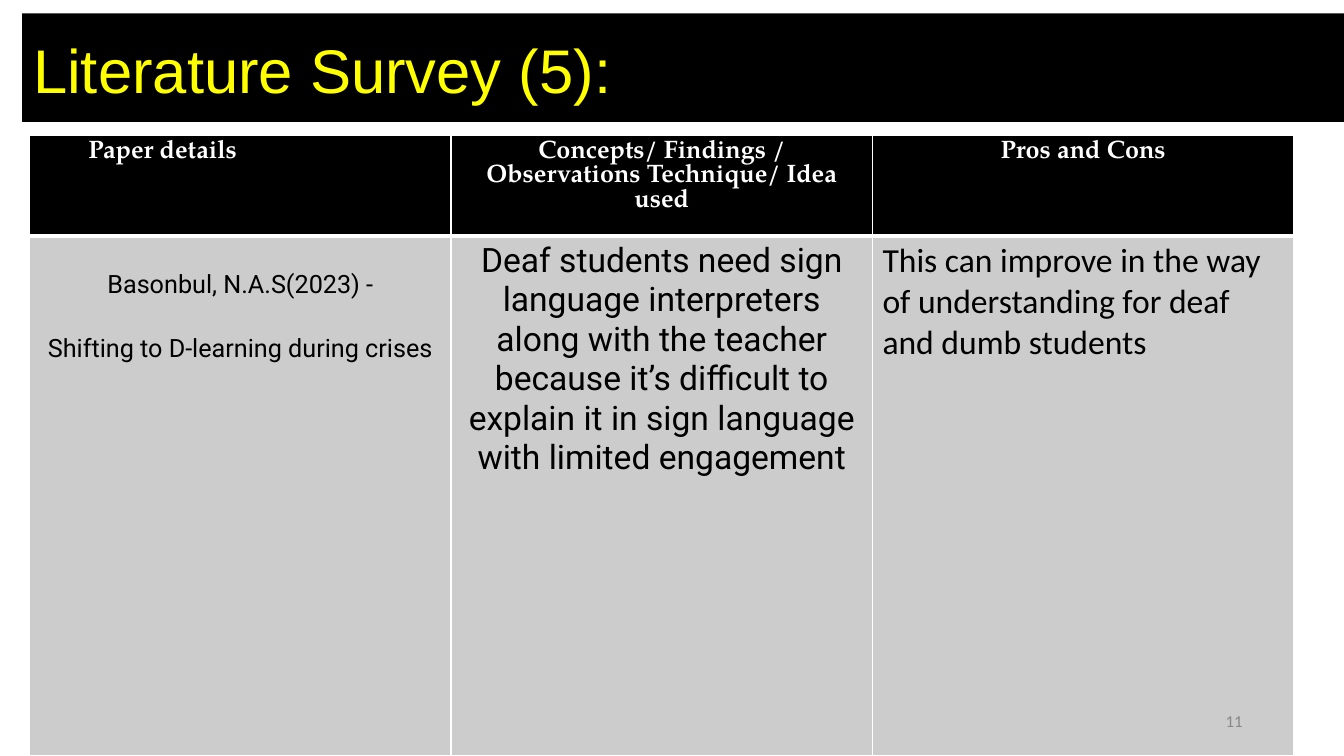
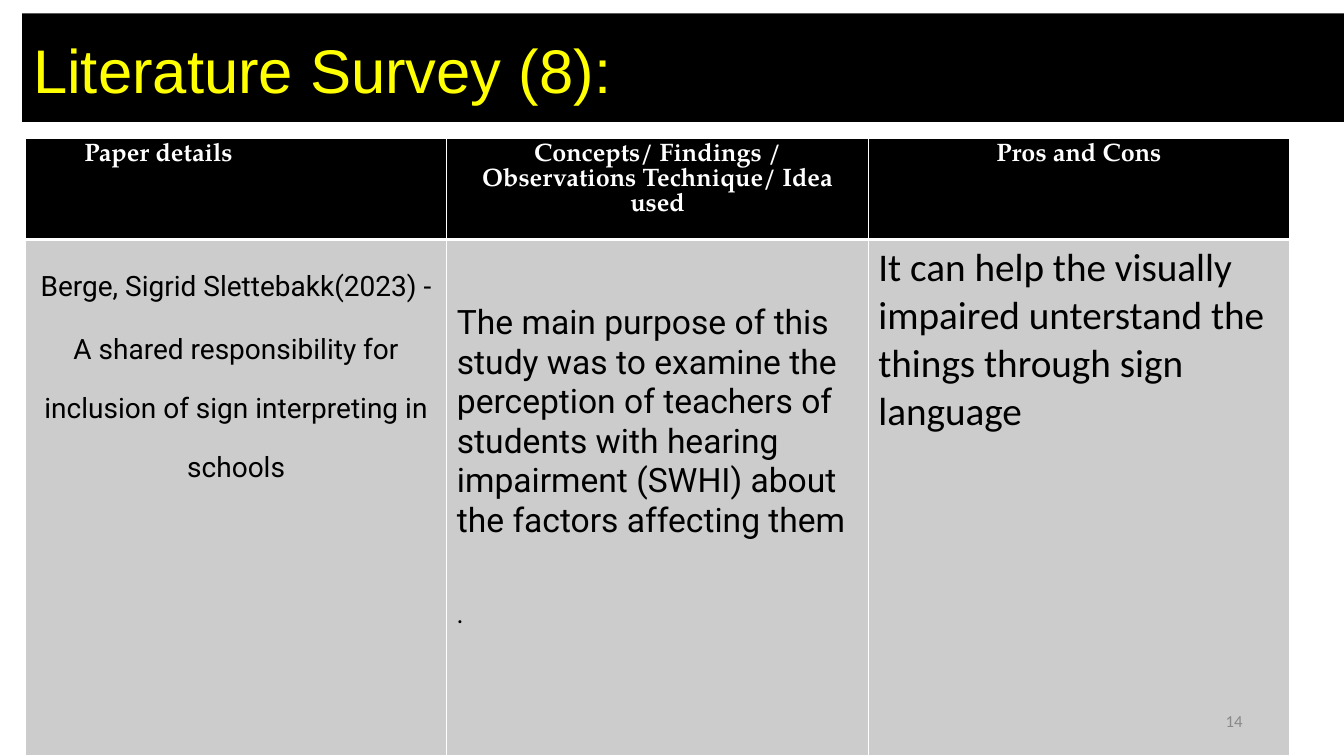
from dataclasses import dataclass
from typing import Optional

from lxml import etree
from pptx import Presentation
from pptx import util as u
from pptx.dml import color
from pptx.enum import shapes, text
from pptx.oxml import ns

Pt = u.Pt
LEFT, CENTER = text.PP_ALIGN.LEFT, text.PP_ALIGN.CENTER


# Theme: colours, fonts and type sizes
@dataclass(frozen=True)
class Theme:
    black: str = "000000"
    white: str = "FFFFFF"
    yellow: str = "FFFF00"
    cell_grey: str = "CCCCCC"
    number_grey: str = "888888"
    title_font: str = "Arial"
    header_font: str = "TeX Gyre Pagella"
    paper_font: str = "Roboto"
    note_font: str = "Calibri"
    title: float = 44
    large: float = 28
    medium: float = 24
    detail: float = 20
    small: float = 18
    number: float = 12


THEME = Theme()
PAGE_WIDTH, PAGE_HEIGHT = 960, 540
COLUMN_WIDTH, HEADER_HEIGHT = 301, 72
CELL_TOP, CELL_SIDE = 3.6, 7.2
THIN, THICK = 1, 3


@dataclass(frozen=True)
class Line:
    words: str
    size: float
    font: str
    align: text.PP_ALIGN = LEFT
    ink: str = THEME.black
    bold: bool = False
    pitch: Optional[float] = None
    before: float = 0


@dataclass(frozen=True)
class Entry:
    lines: tuple[Line, ...]
    top: float = CELL_TOP
    side: float = CELL_SIDE


@dataclass(frozen=True)
class Survey:
    index: int
    page_number: int
    left: float
    top: float
    entries: tuple[Entry, ...]


def header(words: str, align: text.PP_ALIGN = CENTER, side: float = CELL_SIDE) -> Entry:
    return Entry((Line(words, THEME.small, THEME.header_font, align, THEME.white, True),),
                 side=side)


def paper(size: float, *lines: str) -> Entry:
    return Entry(tuple(Line(words, size, THEME.paper_font, CENTER, pitch=42, before=3.4)
                       for words in lines))


def note(words: str, size: float) -> Entry:
    return Entry((Line(words, size, THEME.note_font),))


# Content
HEADERS = (
    header("Paper details", LEFT, 42),
    header("Concepts/ Findings / Observations Technique/ Idea used"),
    header("Pros and Cons"),
)

SURVEYS = (
    Survey(5, 11, 21.2, 96.5, (
        paper(THEME.small, "Basonbul, N.A.S(2023) -", "Shifting to D-learning during crises"),
        Entry((
            Line("Deaf students need sign language interpreters along with the teacher "
                 "because it’s difficult to", THEME.medium, THEME.paper_font, CENTER),
            Line("explain it in sign language with limited engagement",
                 THEME.medium, THEME.paper_font, CENTER),
        )),
        note("This can improve in the way of understanding for deaf and dumb students",
             THEME.medium),
    )),
    Survey(8, 14, 18.2, 99, (
        paper(THEME.detail, "Berge, Sigrid Slettebakk(2023) -",
              "A shared responsibility for inclusion of sign interpreting in schools"),
        Entry((
            Line("The main purpose of this study was to examine the perception of teachers "
                 "of students with hearing impairment (SWHI) about the factors affecting them",
                 THEME.medium, THEME.paper_font),
            Line(".", THEME.small, THEME.note_font, before=42.2),
        ), top=45.8),
        note("It can help the visually impaired unterstand the things through sign language",
             THEME.large),
    )),
)


# Drawing helpers
def rgb(value: str) -> color.RGBColor:
    return color.RGBColor.from_string(value)


def write_lines(frame, lines: tuple[Line, ...]) -> None:
    frame.text = "\n".join(line.words for line in lines)
    for para, line in zip(frame.paragraphs, lines):
        para.alignment = line.align
        para.space_before = Pt(line.before)
        if line.pitch:
            para.line_spacing = Pt(line.pitch)
        for span in para.runs:
            span.font.name = line.font
            span.font.size = Pt(line.size)
            span.font.bold = line.bold
            span.font.color.rgb = rgb(line.ink)


def set_margins(target, left: float, top: float, right: float, bottom: float) -> None:
    target.margin_left, target.margin_top = Pt(left), Pt(top)
    target.margin_right, target.margin_bottom = Pt(right), Pt(bottom)


def add_borders(cell, top: float, bottom: float) -> None:
    properties = cell._tc.get_or_add_tcPr()
    widths = {"a:lnL": THIN, "a:lnR": THIN, "a:lnT": top, "a:lnB": bottom}
    for position, (tag, width) in enumerate(widths.items()):
        border = etree.Element(ns.qn(tag), w=str(int(Pt(width))))
        fill = etree.SubElement(border, ns.qn("a:solidFill"))
        etree.SubElement(fill, ns.qn("a:srgbClr"), val=THEME.white)
        properties.insert(position, border)


def add_title(page, words: str) -> None:
    # Black band, placed behind the title
    band = page.shapes.add_shape(shapes.MSO_SHAPE.RECTANGLE,
                                 Pt(15.8), Pt(9.6), Pt(PAGE_WIDTH - 15.8), Pt(77.4))
    band.shadow.inherit = False
    band.fill.solid()
    band.fill.fore_color.rgb = rgb(THEME.black)
    band.line.fill.background()
    title = page.shapes.title
    title.element.addprevious(band.element)

    title.left, title.top, title.width, title.height = Pt(23.6), Pt(21), Pt(869), Pt(55)
    frame = title.text_frame
    frame.word_wrap = True
    frame.auto_size = text.MSO_AUTO_SIZE.NONE
    frame.vertical_anchor = text.MSO_ANCHOR.MIDDLE
    set_margins(frame, 0, 1.4, 0, 0)
    write_lines(frame, (Line(words, THEME.title, THEME.title_font,
                             ink=THEME.yellow, before=1.3),))


def add_survey_table(page, survey: Survey) -> None:
    rows = (HEADERS, survey.entries)
    heights = (HEADER_HEIGHT, PAGE_HEIGHT - survey.top - HEADER_HEIGHT)
    fills = (THEME.black, THEME.cell_grey)
    edges = ((THIN, THICK), (THICK, THIN))
    columns = len(HEADERS)
    table = page.shapes.add_table(len(rows), columns, Pt(survey.left), Pt(survey.top),
                                  Pt(COLUMN_WIDTH * columns), Pt(sum(heights))).table
    table.horz_banding = False
    for column in table.columns:
        column.width = Pt(COLUMN_WIDTH)
    for row, entries in enumerate(rows):
        table.rows[row].height = Pt(heights[row])
        for column, entry in enumerate(entries):
            cell = table.cell(row, column)
            cell.fill.solid()
            cell.fill.fore_color.rgb = rgb(fills[row])
            add_borders(cell, *edges[row])
            set_margins(cell, entry.side, entry.top, CELL_SIDE, CELL_TOP)
            write_lines(cell.text_frame, entry.lines)


def add_page_number(page, number: int) -> None:
    box = page.shapes.add_textbox(Pt(872.6), Pt(509.8), Pt(18), Pt(13.7))
    box.text_frame.word_wrap = True
    set_margins(box.text_frame, 2.9, 0, 0, 0)
    write_lines(box.text_frame, (Line(str(number), THEME.number, THEME.note_font,
                                      ink=THEME.number_grey, pitch=12.4),))


def main() -> None:
    deck = Presentation()
    deck.slide_width, deck.slide_height = Pt(PAGE_WIDTH), Pt(PAGE_HEIGHT)
    title_only = deck.slide_layouts[5]
    for survey in SURVEYS:
        page = deck.slides.add_slide(title_only)
        add_title(page, f"Literature Survey ({survey.index}):")
        add_survey_table(page, survey)
        add_page_number(page, survey.page_number)
    deck.save("out.pptx")


if __name__ == "__main__":
    main()
